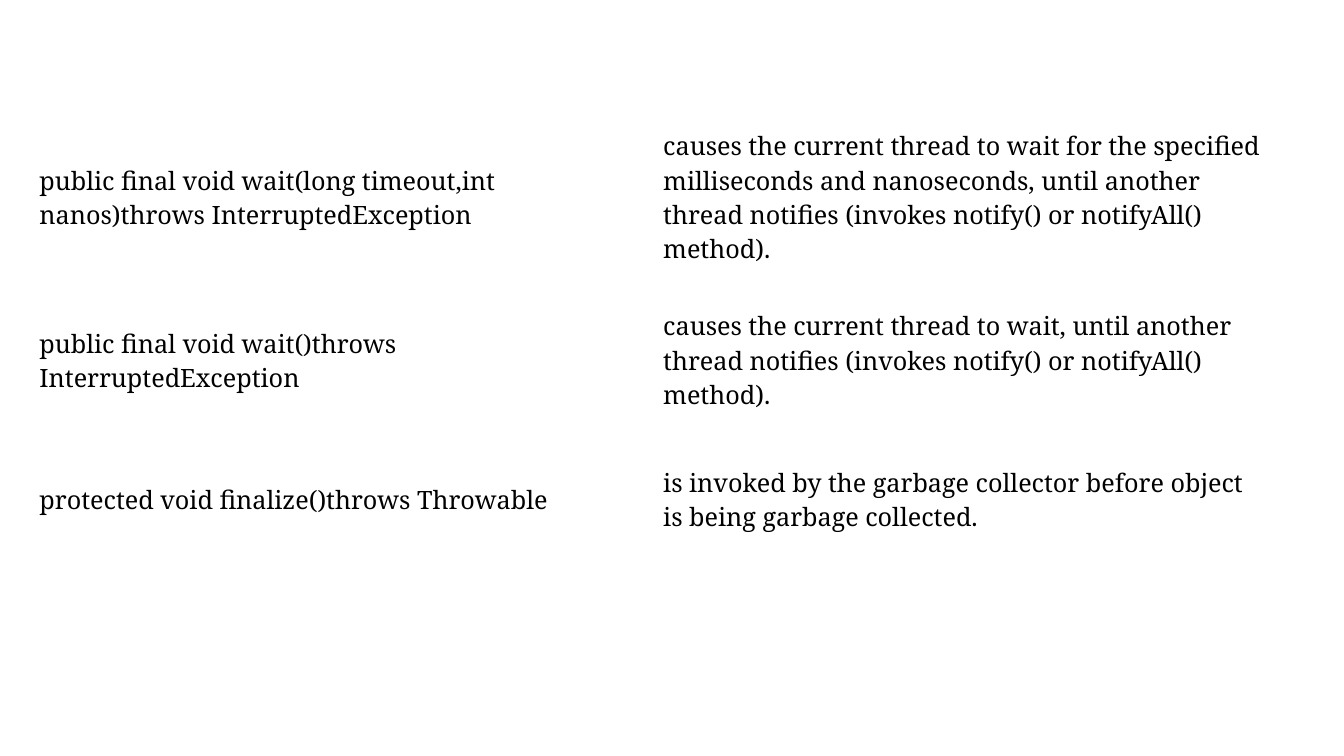
from pptx import Presentation
from pptx.dml.color import RGBColor
from pptx.enum.text import MSO_ANCHOR
from pptx.util import Cm, Pt

MIDDLE = MSO_ANCHOR.MIDDLE
FONT = "Noto Serif"
INK = "000000"
COL_WIDTH = 15.72
METHODS = [
    (4.11, "public final void wait(long timeout,int nanos)throws InterruptedException",
     "causes the current thread to wait for the specified milliseconds and nanoseconds, "
     "until another thread notifies (invokes notify() or notifyAll() method)."),
    (4.11, "public final void wait()throws InterruptedException",
     "causes the current thread to wait, until another thread notifies "
     "(invokes notify() or notifyAll() method)."),
    (2.9, "protected void finalize()throws Throwable",
     "is invoked by the garbage collector before object is being garbage collected."),
]


def color(code):
    return RGBColor.from_string(code)


def fill_cell(cell, text):
    cell.fill.background()
    cell.vertical_anchor = MIDDLE
    cell.text = text
    font = cell.text_frame.paragraphs[0].font
    font.name = FONT
    font.size = Pt(18)
    font.color.rgb = color(INK)


def add_methods(slide, left, top):
    height = sum(method[0] for method in METHODS)
    frame = slide.shapes.add_table(
        len(METHODS), 2, Cm(left), Cm(top), Cm(2 * COL_WIDTH), Cm(height))
    table = frame.table
    table.first_row = False
    table.horz_banding = False
    for column in table.columns:
        column.width = Cm(COL_WIDTH)
    for row, (height, *texts) in zip(table.rows, METHODS):
        row.height = Cm(height)
        for cell, text in zip(row.cells, texts):
            fill_cell(cell, text)


def main():
    deck = Presentation()
    deck.slide_width = Cm(33.87)
    deck.slide_height = Cm(19.05)
    slide = deck.slides.add_slide(deck.slide_layouts[6])
    add_methods(slide, 0.74, 2.92)
    deck.save("out.pptx")


if __name__ == "__main__":
    main()
